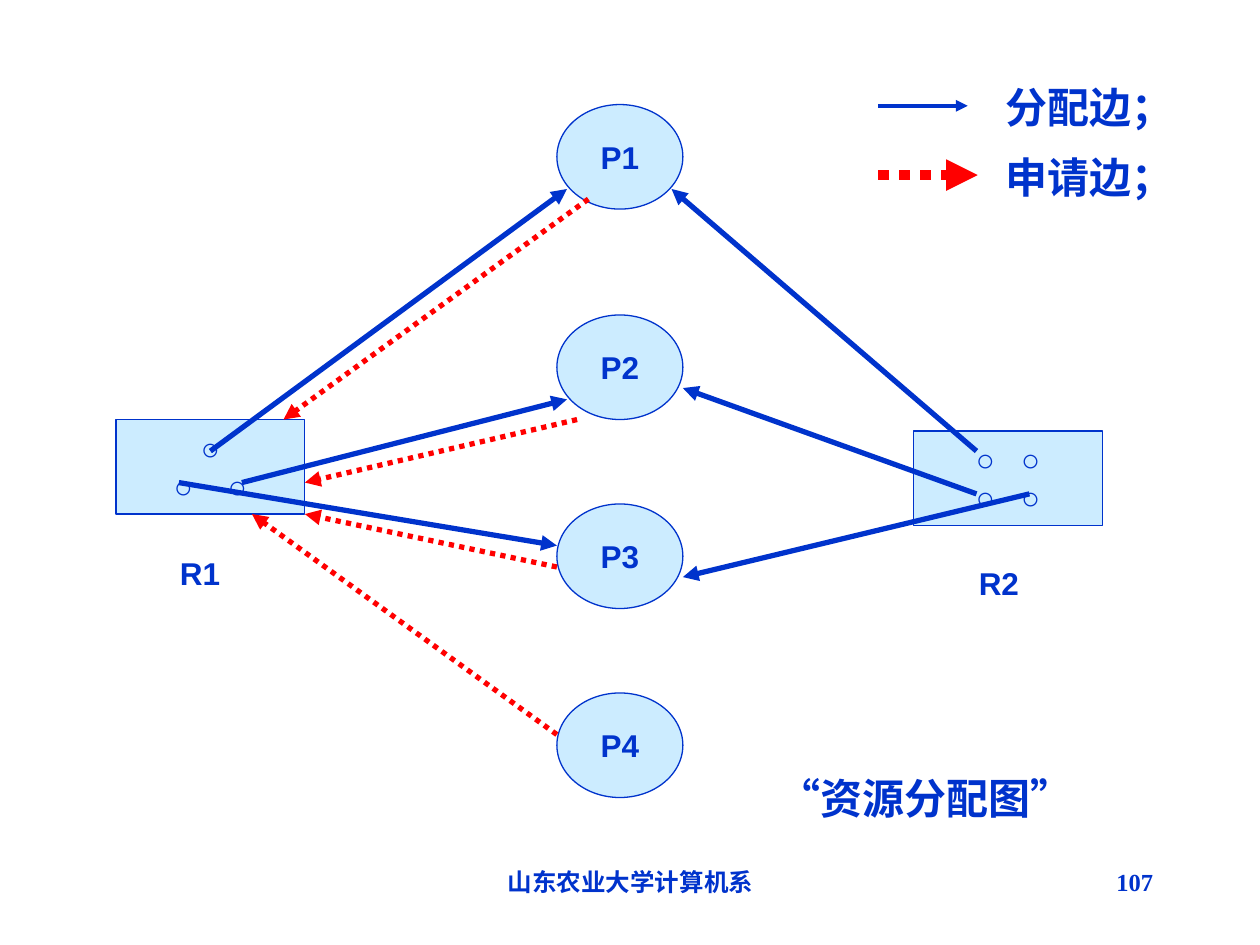
from pptx import Presentation
from pptx import util as u
from pptx.dml.color import RGBColor
from pptx.enum import dml, shapes, text
from pptx.oxml.ns import qn
from lxml import etree

BLUE = "0033CC"
RED = "FF0000"
PALE = "CCECFF"


def color(value):
    """Turn a hex string into a colour."""
    return RGBColor.from_string(value)


def write_text(frame, content, size=18, font="Arial", align=text.PP_ALIGN.LEFT, gap=0):
    """Write lines of bold blue text, widening each space by gap points."""
    for index, line in enumerate(content.split("\n")):
        paragraph = frame.paragraphs[0] if index == 0 else frame.add_paragraph()
        paragraph.alignment = align
        for part in line.partition(" "):
            if not part:
                continue
            run = paragraph.add_run()
            run.text = part
            run.font.size = u.Pt(size)
            run.font.name = font
            run.font.bold = True
            run.font.color.rgb = color(BLUE)
            if part == " " and gap:
                run.font._element.set("spc", str(gap * 100))


def add_label(slide, content, left, top, width, height, **style):
    """Add a wrapping text box."""
    box = slide.shapes.add_textbox(*map(u.Inches, (left, top, width, height)))
    box.text_frame.word_wrap = True
    write_text(box.text_frame, content, **style)


def add_node(slide, kind, content, left, top, width, height, **style):
    """Add a pale outlined shape with centred text."""
    shape = slide.shapes.add_shape(kind, *map(u.Inches, (left, top, width, height)))
    shape.shadow.inherit = False
    shape.fill.solid()
    shape.fill.fore_color.rgb = color(PALE)
    shape.line.color.rgb = color(BLUE)
    shape.line.width = u.Pt(0.75)
    shape.text_frame.word_wrap = False
    shape.text_frame.vertical_anchor = text.MSO_ANCHOR.MIDDLE
    write_text(shape.text_frame, content, align=text.PP_ALIGN.CENTER, **style)


def add_arrow(slide, start, end, line_color=BLUE, width=3):
    """Add an arrow, dotted when it is a red request edge."""
    arrow = slide.shapes.add_connector(
        shapes.MSO_CONNECTOR.STRAIGHT, *map(u.Inches, (*start, *end)))
    arrow.line.color.rgb = color(line_color)
    arrow.line.width = u.Pt(width)
    if line_color == RED:
        arrow.line.dash_style = dml.MSO_LINE.ROUND_DOT
    etree.SubElement(arrow.line._get_or_add_ln(), qn("a:tailEnd"), type="triangle")
    etree.SubElement(arrow._element.spPr, qn("a:effectLst"))


def add_nodes(slide):
    """Add the resources and the processes."""
    rectangle, oval = shapes.MSO_SHAPE.RECTANGLE, shapes.MSO_SHAPE.OVAL
    add_node(slide, rectangle, "○\n○ ○", 0.92, 3.33, 1.5, 0.75, gap=15)
    add_node(slide, rectangle, "○ ○\n○ ○", 7.25, 3.42, 1.5, 0.75, gap=10)
    for number, top in enumerate((0.83, 2.5, 4, 5.5), start=1):
        add_node(slide, oval, f"P{number}", 4.42, top, 1, 0.83)
    add_label(slide, "R1", 1.33, 4.35, 0.75, 0.4)
    add_label(slide, "R2", 7.67, 4.43, 0.67, 0.4)


def add_edges(slide):
    """Add the allocation and request edges."""
    allocations = [
        ((1.67, 3.58), (4.5, 1.5)),
        ((1.92, 3.83), (4.5, 3.17)),
        ((1.42, 3.83), (4.42, 4.33)),
        ((7.75, 3.58), (5.33, 1.5)),
        ((7.75, 3.92), (5.42, 3.08)),
        ((8.17, 3.92), (5.42, 4.58)),
    ]
    requests = [
        ((4.42, 5.83), (2, 4.08)),
        ((4.42, 4.5), (2.42, 4.08)),
        ((4.58, 3.33), (2.42, 3.83)),
        ((4.67, 1.58), (2.25, 3.33)),
    ]
    for start, end in allocations:
        add_arrow(slide, start, end)
    for start, end in requests:
        add_arrow(slide, start, end, RED)


def add_legend(slide):
    """Add the key to the two kinds of edge."""
    entries = [("分配边；", 0.6, 7.68, BLUE, 2.25), ("申请边；", 1.15, 7.76, RED, 6)]
    for content, top, end, line_color, width in entries:
        add_label(slide, content, 7.76, top, 1.65, 0.5, size=24, align=text.PP_ALIGN.RIGHT)
        middle = top + 0.24
        add_arrow(slide, (6.97, middle), (end, middle), line_color, width)


def main():
    """Build the resource allocation graph slide."""
    presentation = Presentation()
    presentation.slide_width = u.Inches(10)
    presentation.slide_height = u.Inches(7.5)
    slide = presentation.slides.add_slide(presentation.slide_layouts[6])
    footer = {"size": 14, "font": "Times New Roman"}
    add_label(slide, "山东农业大学计算机系", 3.42, 6.83, 3.17, 0.5,
              align=text.PP_ALIGN.CENTER, **footer)
    add_label(slide, "107", 7.17, 6.83, 2.08, 0.5, align=text.PP_ALIGN.RIGHT, **footer)
    add_nodes(slide)
    add_edges(slide)
    add_label(slide, "“资源分配图”", 6.08, 6.08, 2.67, 0.5, size=24)
    add_legend(slide)
    presentation.save("out.pptx")


if __name__ == "__main__":
    main()
